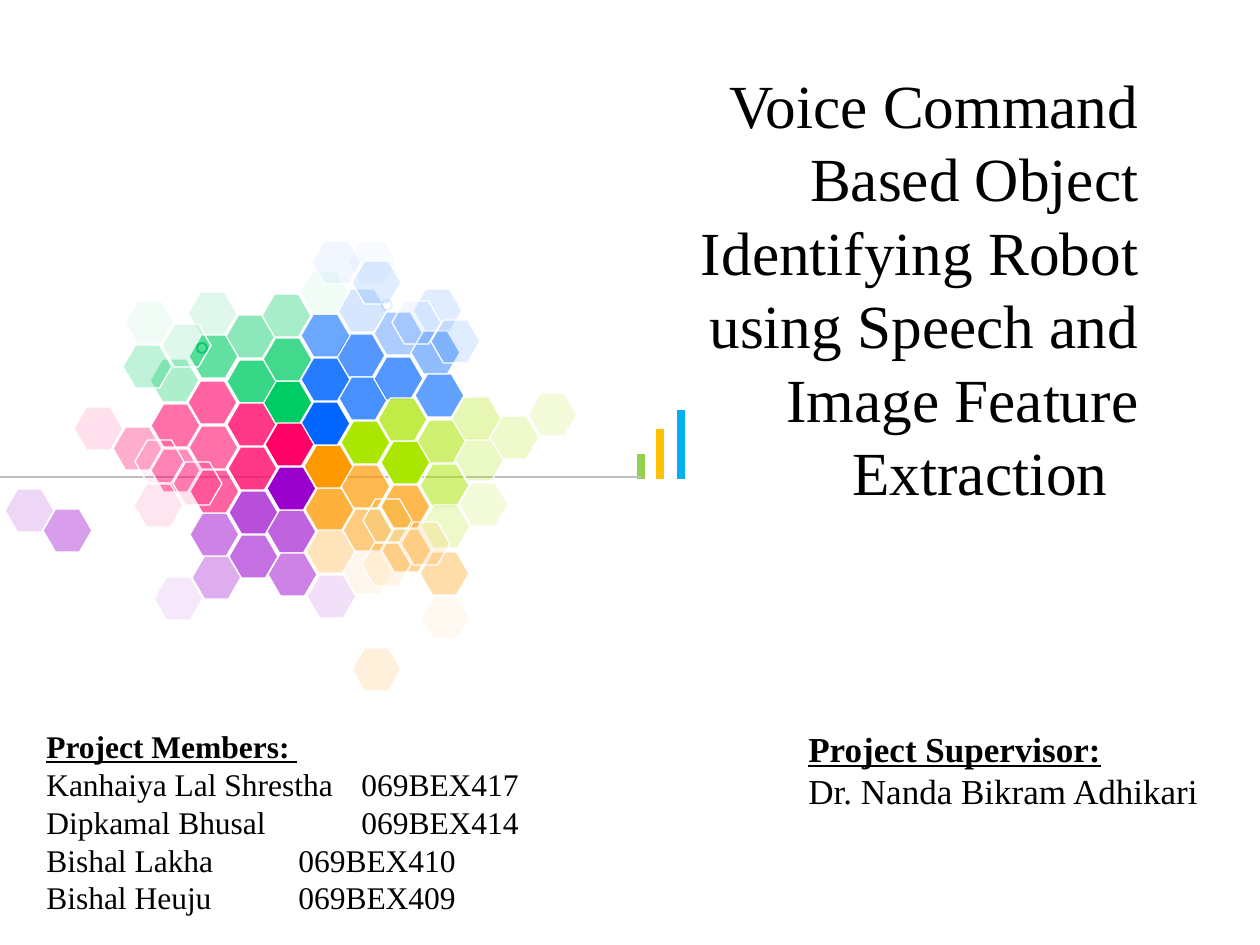
from pptx import Presentation
from pptx.dml.color import RGBColor
from pptx.enum.shapes import MSO_CONNECTOR, MSO_SHAPE
from pptx.enum.text import MSO_ANCHOR, PP_ALIGN
from pptx.oxml.ns import qn
from pptx.util import Pt
from lxml.etree import SubElement

SCALE = 914400 / 126
WHITE = RGBColor(0xFF, 0xFF, 0xFF)
BLACK = RGBColor(0, 0, 0)
GRAY = RGBColor(0xBF, 0xBF, 0xBF)
SKY = RGBColor(0x00, 0xB0, 0xF0)
GOLD = RGBColor(0xFF, 0xC0, 0x00)
GRASS = RGBColor(0x92, 0xD0, 0x50)
PURPLE = RGBColor(0x99, 0x00, 0xCC)
ORANGE = RGBColor(0xFF, 0x99, 0x00)
BLUE = RGBColor(0x00, 0x66, 0xFF)
GREEN = RGBColor(0x00, 0xCC, 0x66)
LIME = RGBColor(0xAA, 0xE6, 0x00)
PINK = RGBColor(0xFF, 0x00, 0x66)
OLIVE = RGBColor(0x99, 0xCC, 0x00)

# Each cell: left, top, opacity in percent
COMB = {
    PURPLE: [(43, 509, 38), (5, 489, 16), (229, 491, 69), (267, 510, 61),
             (267, 467, 100), (192, 556, 32), (190, 513, 49), (154, 577, 9),
             (268, 553, 49), (229, 535, 56), (307, 575, 12)],
    ORANGE: [(352, 648, 14), (305, 488, 76), (382, 529, 41), (341, 465, 69),
             (304, 445, 100), (343, 509, 50), (343, 551, 7), (420, 552, 34),
             (421, 596, 5), (381, 485, 69), (306, 530, 27)],
    BLUE: [(338, 289, 16), (301, 402, 100), (336, 334, 67), (374, 312, 32),
           (413, 289, 12), (339, 377, 72), (301, 358, 85), (374, 357, 67),
           (301, 314, 58), (411, 331, 43), (348, 241, 3), (415, 374, 61)],
    GREEN: [(150, 359, 32), (263, 381, 100), (263, 338, 74), (226, 315, 45),
            (227, 360, 78), (188, 292, 12), (300, 271, 5), (262, 294, 34),
            (189, 335, 61)],
    LIME: [(341, 421, 100), (417, 420, 56), (381, 441, 100), (455, 438, 23),
           (490, 416, 20), (378, 398, 72), (420, 464, 52), (528, 393, 14),
           (459, 483, 14), (452, 397, 30), (421, 505, 21)],
    PINK: [(189, 426, 56), (228, 447, 78), (151, 449, 45), (265, 423, 100),
           (227, 403, 78), (151, 404, 56), (113, 427, 32), (190, 470, 61),
           (74, 407, 12), (188, 381, 61)],
}
VEIL = {
    GREEN: [(162, 324, 12), (123, 345, 25), (125, 301, 5)],
    BLUE: [(352, 261, 12), (312, 241, 5), (431, 320, 12), (392, 301, 5)],
    ORANGE: [(401, 522, 12), (362, 543, 10)],
    OLIVE: [(363, 499, 5)],
    PINK: [(173, 462, 12), (134, 484, 10), (135, 440, 5)],
}


def emu(*lengths):
    return [round(n * SCALE) for n in lengths]


def fade(shape, alpha):
    """Set the opacity of the first solid colour of a shape."""
    if alpha < 100:
        color = next(shape._element.spPr.iter(qn("a:srgbClr")))
        SubElement(color, qn("a:alpha"), val=str(alpha * 1000))


class Board:
    font = "Times New Roman"
    ink = BLACK
    cell = (49, 43)

    def __init__(self, slide):
        self.slide = slide
        self.shapes = slide.shapes

    def text(self, box, lines, size, align=PP_ALIGN.LEFT,
             anchor=MSO_ANCHOR.TOP, foot=6, head=False):
        """Write one paragraph per line; head marks the first as a heading."""
        frame = self.shapes.add_textbox(*emu(*box)).text_frame
        frame.word_wrap = True
        frame.vertical_anchor = anchor
        frame.margin_bottom = emu(foot)[0]
        for i, line in enumerate(lines):
            para = frame.paragraphs[0] if i == 0 else frame.add_paragraph()
            para.alignment = align
            para.line_spacing = Pt(size * 1.2)
            run = para.add_run()
            run.text = line
            font = run.font
            font.name, font.size = self.font, Pt(size)
            font.color.rgb = self.ink
            font.bold = font.underline = head and i == 0

    def line(self, ends, color, width):
        link = self.shapes.add_connector(MSO_CONNECTOR.STRAIGHT, *emu(*ends))
        link.line.color.rgb = color
        link.line.width = Pt(width)
        SubElement(link._element.spPr, qn("a:effectLst"))

    def hexagon(self, left, top, color, alpha):
        hexa = self.shapes.add_shape(
            MSO_SHAPE.HEXAGON, *emu(left, top, *self.cell))
        hexa.shadow.inherit = False
        hexa.adjustments[0] = 0.29
        hexa.fill.solid()
        hexa.fill.fore_color.rgb = color
        fade(hexa, alpha)
        hexa.line.color.rgb = WHITE
        hexa.line.width = Pt(0.75)

    def comb(self, cells):
        for color, spots in cells.items():
            for left, top, alpha in spots:
                self.hexagon(left, top, color, alpha)

    def ring(self, left, top, color, alpha=100):
        ring = self.shapes.add_shape(
            MSO_SHAPE.OVAL, *emu(left, top, 10, 10))
        ring.shadow.inherit = False
        ring.fill.background()
        ring.line.color.rgb = color
        ring.line.width = Pt(1)
        fade(ring, alpha)


def main():
    deck = Presentation()
    deck.slide_width, deck.slide_height = emu(1260, 945)
    board = Board(deck.slides.add_slide(deck.slide_layouts[6]))

    board.text((668, 226, 483, 362),
               ["Voice Command Based Object Identifying Robot using "
                "Speech and Image Feature Extraction  "],
               35, align=PP_ALIGN.RIGHT, anchor=MSO_ANCHOR.BOTTOM, foot=80)

    for x, top, color in [(681, 410, SKY), (660, 429, GOLD), (641, 454, GRASS)]:
        board.line((x, top, x, 479), color, 4.5)
    board.line((-14, 477, 641, 477), GRAY, 0.75)

    board.comb(COMB)
    board.comb(VEIL)
    board.ring(382, 300, BLUE, alpha=10)
    board.ring(197, 343, GREEN)

    board.text((34, 721, 566, 242),
               ["Project Members: ",
                "Kanhaiya Lal Shrestha \t069BEX417",
                "Dipkamal Bhusal \t\t069BEX414",
                "Bishal Lakha \t\t069BEX410",
                "Bishal Heuju \t\t069BEX409"], 18, head=True)
    board.text((796, 721, 436, 97),
               ["Project Supervisor:", "Dr. Nanda Bikram Adhikari"],
               20, head=True)
    deck.save("out.pptx")


if __name__ == "__main__":
    main()
